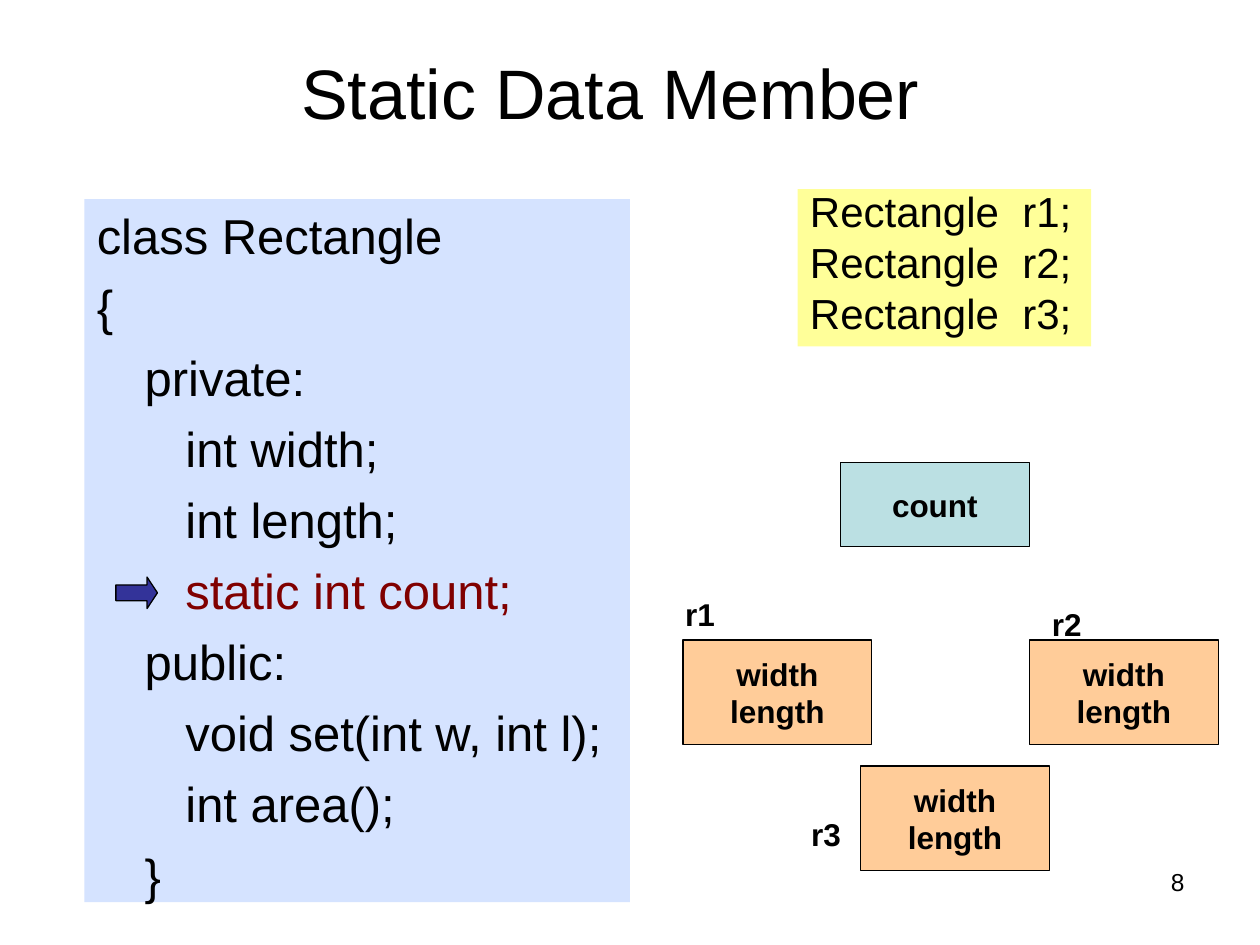
from pptx import Presentation
from pptx.dml.color import RGBColor
from pptx.enum.shapes import MSO_SHAPE as Shape
from pptx.enum.text import MSO_ANCHOR as Anchor, MSO_AUTO_SIZE as Fit, PP_ALIGN as Align
from pptx.util import Inches, Pt

BLACK = RGBColor(0x00, 0x00, 0x00)
RED = RGBColor(0x80, 0x00, 0x00)
BLUE = RGBColor(0xD5, 0xE3, 0xFF)
YELLOW = RGBColor(0xFF, 0xFF, 0x99)
NAVY = RGBColor(0x33, 0x33, 0x99)
ORANGE = RGBColor(0xFF, 0xCC, 0x99)
TEAL = RGBColor(0xBB, 0xE0, 0xE3)

CLASS = [
    [("class Rectangle", BLACK)],
    [("{", BLACK)],
    [("\tprivate:", BLACK)],
    [("\t   int width;", BLACK)],
    [("\t   int length;", BLACK)],
    [("\t   ", BLACK), ("static int count;", RED)],
    [("\tpublic:", BLACK)],
    [("\t   void set(int w, int l);", BLACK)],
    [("\t   int area();", BLACK)],
    [("\t}", BLACK)],
]
USES = [[(f"Rectangle  r{n};", BLACK)] for n in (1, 2, 3)]
FIELDS = ["width", "length"]


def add_run(para, text, size, color=BLACK, bold=False):
    """Add one formatted run to a paragraph."""
    run = para.add_run()
    run.text = text
    font = run.font
    font.name, font.size, font.bold = "Arial", Pt(size), bold
    font.color.rgb = color


def get_para(frame, index):
    """Return the first paragraph or add a further one."""
    return frame.add_paragraph() if index else frame.paragraphs[0]


def add_block(slide, kind, place, fill, line=None):
    """Add a filled shape with an optional outline."""
    block = slide.shapes.add_shape(kind, *map(Inches, place))
    block.shadow.inherit = False
    block.fill.solid()
    block.fill.fore_color.rgb = fill
    if line is None:
        block.line.fill.background()
    else:
        block.line.color.rgb = line
        block.line.width = Pt(0.75)
    return block


def add_code(slide, place, fill, rows, size, gap, pitch=None):
    """Add a panel of code with hanging indents."""
    frame = add_block(slide, Shape.RECTANGLE, place, fill).text_frame
    frame.word_wrap = True
    frame.vertical_anchor = Anchor.TOP
    for index, row in enumerate(rows):
        para = get_para(frame, index)
        para.alignment = Align.LEFT
        para.line_spacing = pitch
        para.space_before = Pt(gap if index else 0)
        props = para._p.get_or_add_pPr()
        props.set("marL", str(Inches(0.38)))
        props.set("indent", str(Inches(-0.38)))
        for text, color in row:
            add_run(para, text, size, color)


def add_box(slide, place, fill, rows):
    """Add an outlined box with centred bold lines."""
    frame = add_block(slide, Shape.RECTANGLE, place, fill, BLACK).text_frame
    frame.word_wrap = False
    frame.vertical_anchor = Anchor.MIDDLE
    for index, text in enumerate(rows):
        para = get_para(frame, index)
        para.alignment = Align.CENTER
        add_run(para, text, 18, bold=True)


def add_label(slide, left, top, text):
    """Add the bold name of an object."""
    label = slide.shapes.add_textbox(*map(Inches, (left, top, 0.46, 0.4)))
    frame = label.text_frame
    frame.word_wrap = False
    frame.auto_size = Fit.NONE
    add_run(frame.paragraphs[0], text, 18, bold=True)


def set_title(slide, text):
    """Place and format the title."""
    title = slide.shapes.title
    title.left, title.top, title.width, title.height = map(Inches, (0.42, 0.38, 9, 0.7))
    frame = title.text_frame
    frame.auto_size = Fit.NONE
    frame.vertical_anchor = Anchor.MIDDLE
    para = frame.paragraphs[0]
    para.alignment = Align.CENTER
    add_run(para, text, 40)


def add_number(slide, text):
    """Add the page number at the lower right."""
    box = slide.shapes.add_textbox(*map(Inches, (7.17, 6.83, 2.33, 0.52)))
    box.text_frame.word_wrap = True
    para = box.text_frame.paragraphs[0]
    para.alignment = Align.RIGHT
    add_run(para, text, 14)


def main():
    """Build the slide and save it."""
    deck = Presentation()
    deck.slide_width, deck.slide_height = Inches(10), Inches(7.5)
    slide = deck.slides.add_slide(deck.slide_layouts[5])
    set_title(slide, "Static Data Member ")
    add_code(slide, (0.67, 1.58, 4.33, 5.58), BLUE, CLASS, 28, 7)
    add_code(slide, (6.33, 1.5, 2.33, 1.25), YELLOW, USES, 24, 6, 0.8)
    arrow = add_block(slide, Shape.RIGHT_ARROW, (0.92, 4.58, 0.33, 0.25), NAVY, BLACK)
    arrow.adjustments[1] = 0.33
    for left, top in ((5.42, 5.08), (8.17, 5.08), (6.83, 6.08)):
        add_box(slide, (left, top, 1.5, 0.83), ORANGE, FIELDS)
    for left, top, name in ((5.34, 4.67, "r1"), (6.34, 6.42, "r3"), (8.25, 4.75, "r2")):
        add_label(slide, left, top, name)
    add_box(slide, (6.67, 3.67, 1.5, 0.67), TEAL, ["count"])
    add_number(slide, "8")
    deck.save("out.pptx")


if __name__ == "__main__":
    main()
